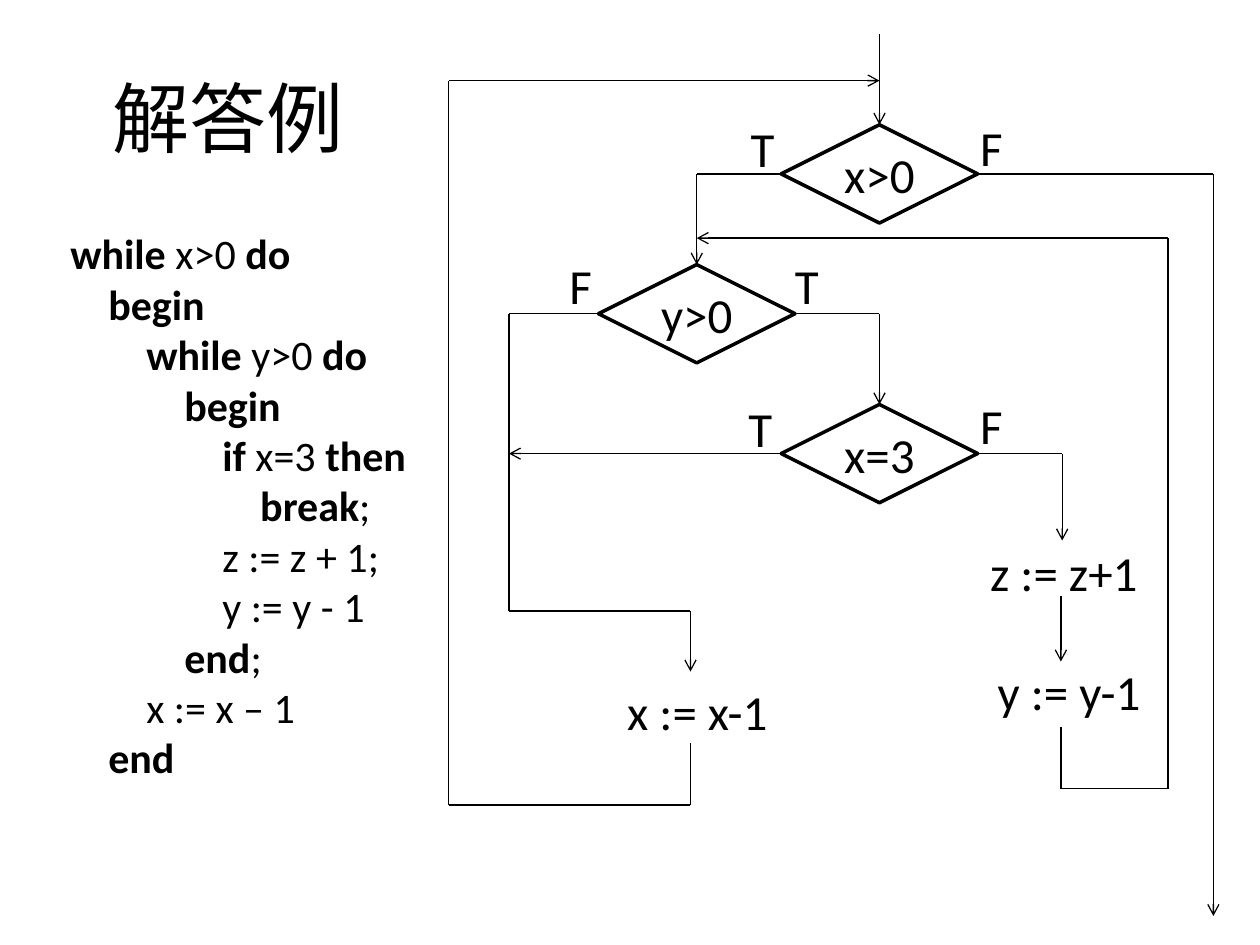
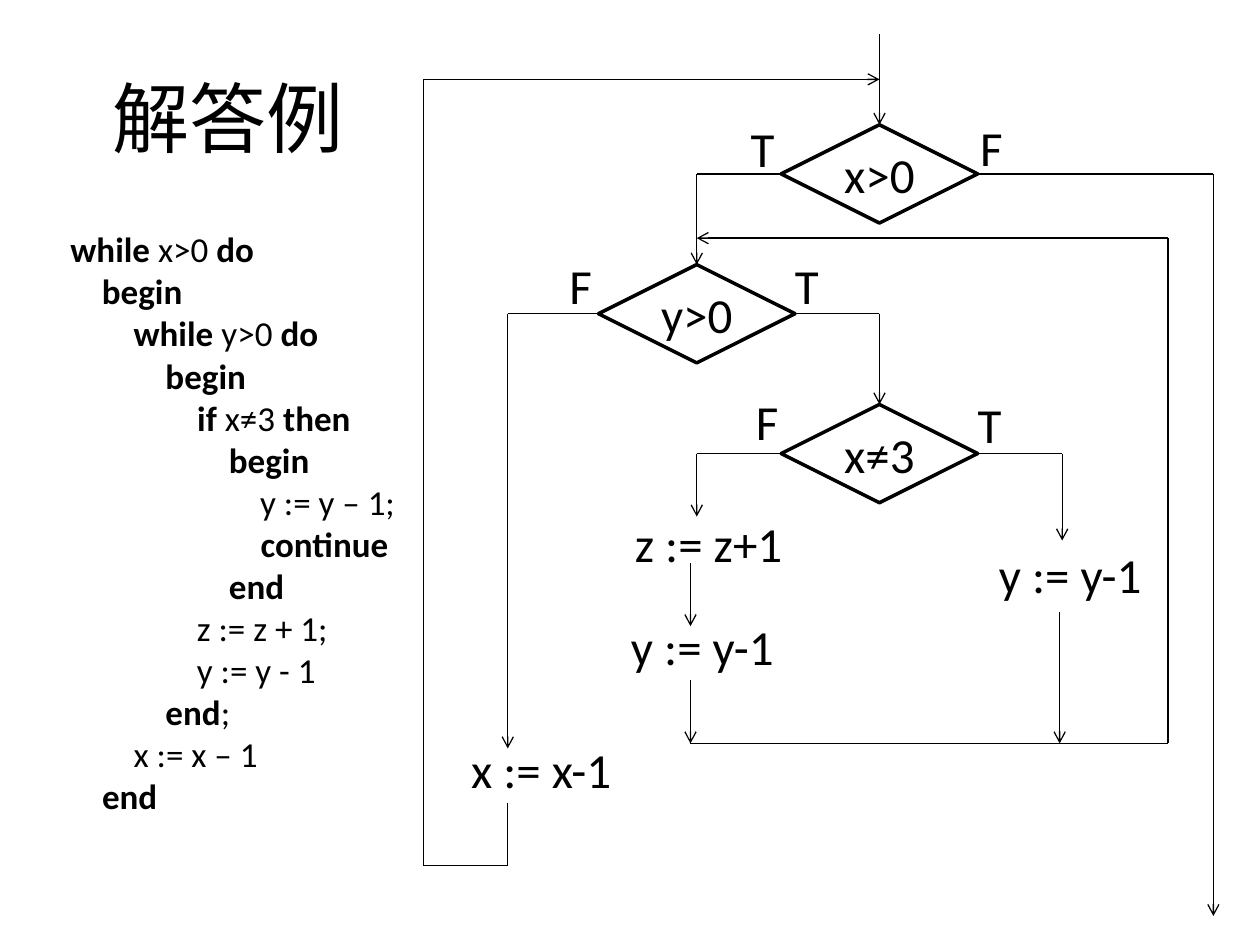
"""Builds two slides of loop code, each beside its flow chart."""
from itertools import pairwise

from lxml.etree import SubElement
from pptx import Presentation
from pptx.dml.color import RGBColor
from pptx.enum.shapes import MSO_CONNECTOR as Link, MSO_SHAPE as Kind
from pptx.enum.text import MSO_ANCHOR as Anchor, PP_ALIGN as Align
from pptx.oxml.ns import qn
from pptx.util import Inches, Pt

BLACK = RGBColor(0, 0, 0)
FONT = "Calibri"
TOP, LEFT, RIGHT = 0, 1, 3

BREAK = """*while* x>0 *do*
*    begin*
*        while* y>0 *do*
            *begin*
                *if* x=3 *then*
                    *break*;
                z := z + 1;
                y := y - 1
            *end*;
        x := x – 1
    *end*"""

CONTINUE = """*while* x>0 *do*
*    begin*
*        while* y>0 *do*
            *begin*
                *if* x≠3 *then*
                    *begin*
                        y := y – 1;
                        *continue*
                    *end*
                z := z + 1;
                y := y - 1
            *end*;
        x := x – 1
    *end*"""


class Deck:
    """Holds the style and the current slide."""

    def __init__(self):
        self.file = Presentation()
        self.file.slide_width = Inches(10)
        self.file.slide_height = Inches(7.5)

    def start(self, title):
        """Add a slide with its title."""
        self.slide = self.file.slides.add_slide(self.file.slide_layouts[5])
        box = self.slide.shapes.title
        box.left, box.top = Inches(0.5), Inches(0.3)
        box.width, box.height = Inches(2.62), Inches(1.25)
        box.text_frame.text = title
        box.text_frame.vertical_anchor = Anchor.MIDDLE
        self.style(box.text_frame.paragraphs[0], 44, Align.CENTER)

    def style(self, para, size, align=Align.LEFT):
        """Set the font and alignment of a paragraph."""
        para.alignment = align
        para.font.name = FONT
        para.font.size = Pt(size)
        para.font.color.rgb = BLACK

    def box(self, x, y, wide, high, wrap=False):
        """Add an empty text box and return its frame."""
        area = self.slide.shapes.add_textbox(
            Inches(x), Inches(y), Inches(wide), Inches(high))
        area.text_frame.word_wrap = wrap
        return area.text_frame

    def label(self, text, x, y, wide=0.39):
        """Add one line of chart text."""
        frame = self.box(x, y, wide, 0.57)
        frame.text = text
        self.style(frame.paragraphs[0], 28)

    def step(self, text, x, y):
        """Add an assignment to the chart."""
        self.label(text, x, y, 1.5)

    def code(self, text, size, high):
        """Add code whose parts between asterisks are bold."""
        frame = self.box(0.46, 1.76, 2.92, high, True)
        for i, line in enumerate(text.split("\n")):
            para = frame.add_paragraph() if i else frame.paragraphs[0]
            self.style(para, size)
            for j, part in enumerate(line.split("*")):
                if part:
                    run = para.add_run()
                    run.text = part
                    run.font.bold = j % 2 == 1

    def test(self, text, x, y):
        """Add a diamond and return it."""
        shape = self.slide.shapes.add_shape(
            Kind.DIAMOND, Inches(x), Inches(y), Inches(1.56), Inches(0.78))
        shape.shadow.inherit = False
        shape.fill.background()
        shape.line.color.rgb = BLACK
        shape.line.width = Pt(2)
        frame = shape.text_frame
        frame.word_wrap = False
        frame.vertical_anchor = Anchor.MIDDLE
        frame.text = text
        self.style(frame.paragraphs[0], 28, Align.CENTER)
        return shape

    def route(self, *stops, start=None, end=None):
        """Draw an arrow through stops, joined to (shape, side) at its ends."""
        pairs = list(pairwise(stops))
        for i, (a, b) in enumerate(pairs):
            line = self.slide.shapes.add_connector(
                Link.STRAIGHT, *map(Inches, a + b))
            line.line.color.rgb = BLACK
            line.line.width = Pt(0.75)
            last = i == len(pairs) - 1
            props = line._element.spPr
            if start and i == 0:
                line.begin_connect(*start)
            if end and last:
                line.end_connect(*end)
            if last and stops[-1] is not None:
                SubElement(props.find(qn("a:ln")), qn("a:tailEnd"),
                           type="arrow")
            SubElement(props, qn("a:effectLst"))


def base(deck, code, size, high, cond):
    """Draw what both charts share and return the two inner tests."""
    deck.start("解答例")
    deck.code(code, size, high)
    outer = deck.test("x>0", 6.2, 0.99)
    inner = deck.test("y>0", 4.75, 2.1)
    check = deck.test(cond, 6.2, 3.21)
    for text, x, y in (("T", 5.86, 0.89), ("F", 7.68, 0.88),
                       ("F", 4.42, 1.98), ("T", 6.21, 1.98)):
        deck.label(text, x, y)
    deck.route((6.98, 0.27), (6.98, 0.99), end=(outer, TOP))
    deck.route((7.76, 1.38), (9.63, 1.38), (9.63, 7.27),
               start=(outer, RIGHT))
    deck.route((6.2, 1.38), (5.53, 1.38), (5.53, 2.1),
               start=(outer, LEFT), end=(inner, TOP))
    deck.route((6.31, 2.49), (6.98, 2.49), (6.98, 3.21),
               start=(inner, RIGHT), end=(check, TOP))
    deck.route((7.76, 3.6), (8.43, 3.6), (8.43, 4.29),
               start=(check, RIGHT))
    return inner, check


def leave(deck):
    """Draw the chart of the loop with break."""
    inner, check = base(deck, BREAK, 24, 4.54, "x=3")
    deck.label("T", 5.84, 3.11)
    deck.label("F", 7.68, 3.09)
    deck.step("x := x-1", 4.88, 5.36)
    deck.step("z := z+1", 7.76, 4.26)
    deck.step("y := y-1", 7.82, 5.2)
    deck.route((4.75, 2.49), (4.04, 2.49), (4.04, 4.85), (5.48, 4.85),
               (5.48, 5.33), start=(inner, LEFT))
    deck.route((6.2, 3.6), (4.04, 3.6), start=(check, LEFT))
    deck.route((8.42, 4.73), (8.42, 5.25))
    deck.route((8.42, 5.77), (8.42, 6.26), (9.27, 6.26), (9.27, 1.89),
               (5.53, 1.89))
    deck.route((5.48, 5.9), (5.48, 6.39), (3.56, 6.39), (3.56, 0.64),
               (6.98, 0.64))


def again(deck):
    """Draw the chart of the loop with continue."""
    inner, check = base(deck, CONTINUE, 20, 4.81, "x≠3")
    deck.label("F", 5.9, 3.06)
    deck.label("T", 7.66, 3.08)
    deck.step("x := x-1", 3.64, 5.82)
    deck.step("z := z+1", 4.94, 4.03)
    deck.step("y := y-1", 4.91, 4.84)
    deck.step("y := y-1", 7.83, 4.27)
    deck.route((4.75, 2.49), (4.03, 2.49), (4.03, 5.94),
               start=(inner, LEFT))
    deck.route((6.2, 3.6), (5.53, 3.6), (5.53, 4.1), start=(check, LEFT))
    deck.route((5.48, 4.47), (5.48, 4.97))
    deck.route((5.48, 5.4), (5.48, 5.9))
    deck.route((8.41, 4.86), (8.41, 5.9))
    deck.route((5.48, 5.9), (9.27, 5.9), (9.27, 1.89), (5.53, 1.89))
    deck.route((4.03, 6.37), (4.03, 6.87), (3.36, 6.87), (3.36, 0.63),
               (6.98, 0.63))


def main():
    """Build and save the slides."""
    deck = Deck()
    leave(deck)
    again(deck)
    deck.file.save("out.pptx")


if __name__ == "__main__":
    main()
